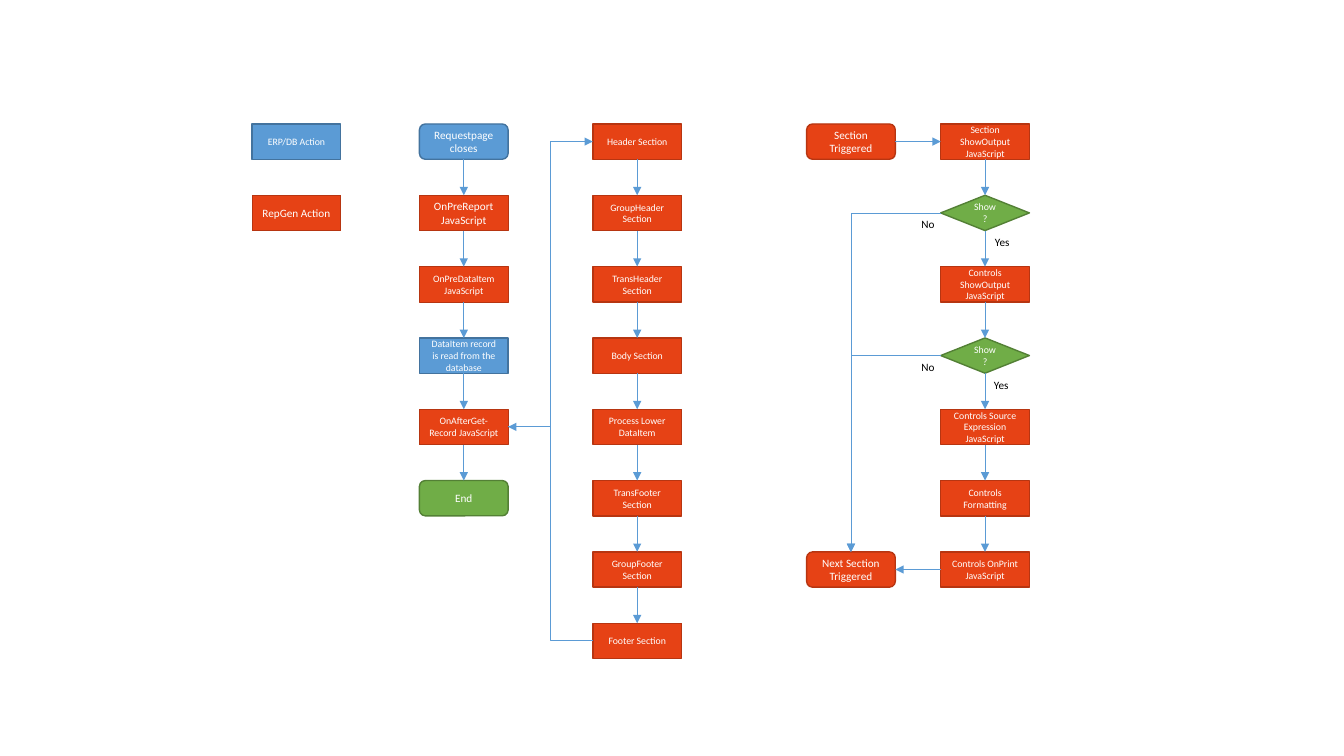
import pptx
import pptx.util
import pptx.dml.color
import pptx.enum.shapes
import pptx.enum.text
import pptx.oxml.ns
import lxml.etree

Inches = pptx.util.Inches
Pt = pptx.util.Pt
RGB = pptx.dml.color.RGBColor.from_string
qn = pptx.oxml.ns.qn
KIND = pptx.enum.shapes.MSO_SHAPE
LINK = pptx.enum.shapes.MSO_CONNECTOR

hues = {
    "blue": "5B9BD5", "blue edge": "43739E",
    "red": "E64215", "red edge": "B73511",
    "green": "70AD47", "green edge": "538035",
    "white": "FFFFFF", "black": "000000",
}
forms = {
    "box": KIND.FLOWCHART_PROCESS,
    "round": KIND.FLOWCHART_ALTERNATE_PROCESS,
    "test": KIND.FLOWCHART_DECISION,
}
TOP, LEFT, BASE, RIGHT = range(4)
WIDE, HIGH, FIRST, STEP = 0.88, 0.35, 1.23, 0.7075

deck = pptx.Presentation()
deck.slide_width = Inches(13.33)
deck.slide_height = Inches(7.5)
slide = deck.slides.add_slide(deck.slide_layouts[6])


def write(shape, text, size, hue):
    frame = shape.text_frame
    frame.word_wrap = True
    frame.text = text
    look = {"name": "Calibri", "size": Pt(size)}
    font = frame.paragraphs[0].runs[0].font
    for key, value in look.items():
        setattr(font, key, value)
    font.color.rgb = RGB(hues[hue])
    return frame


def join(kind, start, out, end, into):
    wire = slide.shapes.add_connector(kind, 0, 0, 0, 0)
    wire.begin_connect(start, out)
    wire.end_connect(end, into)
    wire.line.color.rgb = RGB(hues["blue"])
    wire.line.width = Pt(0.5)
    edge = wire.line._get_or_add_ln()
    lxml.etree.SubElement(edge, qn("a:tailEnd"), type="triangle")
    lxml.etree.SubElement(wire.element.spPr, qn("a:effectLst"))
    return wire


columns = {
    "key": (2.5, 0.5, [
        (0, "box", "blue", 7, "ERP/DB Action"),
        (1, "box", "red", 8, "RepGen Action"),
    ]),
    "report": (4.16, 0.5, [
        (0, "round", "blue", 8, "Requestpage closes"),
        (1, "box", "red", 8, "OnPreReport JavaScript"),
        (2, "box", "red", 7, "OnPreDataItem JavaScript"),
        (3, "box", "blue", 7, "DataItem record is read from the database"),
        (4, "box", "red", 7, "OnAfterGet-Record JavaScript"),
        (5, "round", "green", 8, "End"),
    ]),
    "section": (5.88, 1, [
        (0, "box", "red", 7, "Header Section"),
        (1, "box", "red", 7, "GroupHeader Section"),
        (2, "box", "red", 7, "TransHeader Section"),
        (3, "box", "red", 7, "Body Section"),
        (4, "box", "red", 7, "Process Lower DataItem"),
        (5, "box", "red", 7, "TransFooter Section"),
        (6, "box", "red", 7, "GroupFooter Section"),
        (7, "box", "red", 7, "Footer Section"),
    ]),
    "trigger": (8, 1, [
        (0, "round", "red", 8, "Section Triggered"),
        (6, "round", "red", 8, "Next Section Triggered"),
    ]),
    "control": (9.33, 1, [
        (0, "box", "red", 7, "Section ShowOutput JavaScript"),
        (1, "test", "green", 7, "Show?"),
        (2, "box", "red", 7, "Controls ShowOutput JavaScript"),
        (3, "test", "green", 7, "Show?"),
        (4, "box", "red", 7, "Controls Source Expression JavaScript"),
        (5, "box", "red", 7, "Controls Formatting"),
        (6, "box", "red", 7, "Controls OnPrint JavaScript"),
    ]),
}

nodes = {}
for name, (left, thin, steps) in columns.items():
    nodes[name] = []
    for row, form, hue, size, text in steps:
        node = slide.shapes.add_shape(
            forms[form], Inches(left), Inches(FIRST + row * STEP),
            Inches(WIDE), Inches(HIGH))
        node.shadow.inherit = False
        node.fill.solid()
        node.fill.fore_color.rgb = RGB(hues[hue])
        node.line.color.rgb = RGB(hues[hue + " edge"])
        node.line.width = Pt(thin if hue == "red" else 1)
        frame = write(node, text, size, "white")
        frame.vertical_anchor = pptx.enum.text.MSO_ANCHOR.MIDDLE
        frame.paragraphs[0].alignment = pptx.enum.text.PP_ALIGN.CENTER
        nodes[name].append(node)

for name in ("report", "section", "control"):
    for upper, lower in zip(nodes[name], nodes[name][1:]):
        join(LINK.STRAIGHT, upper, BASE, lower, TOP)

record = nodes["report"][4]
head, foot = nodes["section"][0], nodes["section"][-1]
begin, follow = nodes["trigger"]
control = nodes["control"]
join(LINK.ELBOW, record, RIGHT, head, LEFT)
join(LINK.ELBOW, foot, LEFT, record, RIGHT)
join(LINK.STRAIGHT, begin, RIGHT, control[0], LEFT)
join(LINK.STRAIGHT, control[6], LEFT, follow, RIGHT)
for test in (control[1], control[3]):
    wire = join(LINK.ELBOW, test, LEFT, follow, TOP)
    wire.element.spPr.find(qn("a:prstGeom")).set("prst", "bentConnector2")

for text, left, top in (("Yes", 9.77, 2.29), ("Yes", 9.76, 3.7),
                        ("No", 9.04, 2.11), ("No", 9.04, 3.53)):
    label = slide.shapes.add_textbox(
        Inches(left), Inches(top), Inches(0.57), Inches(0.24))
    frame = write(label, text, 8, "black")
    frame.auto_size = pptx.enum.text.MSO_AUTO_SIZE.SHAPE_TO_FIT_TEXT

deck.save("out.pptx")
